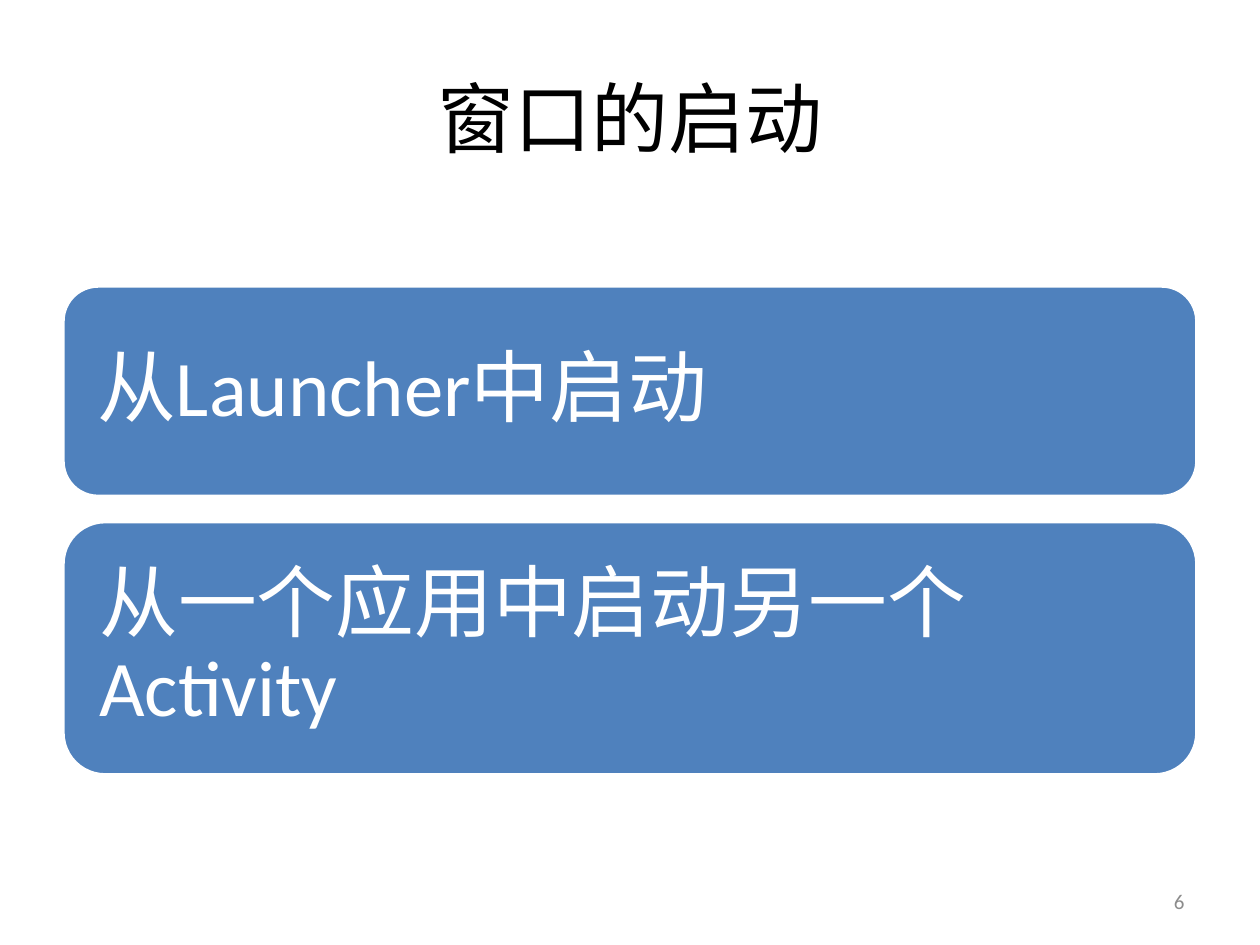
from pptx import Presentation
from pptx.dml.color import RGBColor
from pptx.enum.shapes import MSO_SHAPE
from pptx.enum.text import MSO_ANCHOR, PP_ALIGN
from pptx.util import Inches, Pt

ROUND = MSO_SHAPE.ROUNDED_RECTANGLE
MIDDLE = MSO_ANCHOR.MIDDLE
LEFT, CENTER, RIGHT = PP_ALIGN.LEFT, PP_ALIGN.CENTER, PP_ALIGN.RIGHT

HEX = {"ink": "000000", "blue": "4F81BD", "white": "FFFFFF", "gray": "8C8C8C"}
TITLE = "窗口的启动"
CARDS = [("从Launcher中启动", 1.67), ("从一个应用中启动另一个Activity", 2.01)]
PAGE = "6"
EDGE, WIDE, TOP, GAP, PAD = 0.5, 9, 2.27, 0.2, 0.19


def color(name):
    return RGBColor.from_string(HEX[name])


def place(shape, *box):
    for key, val in zip(("left", "top", "width", "height"), box):
        setattr(shape, key, Inches(val))


def write(shape, text, size, ink, align):
    frame = shape.text_frame
    frame.word_wrap = True
    frame.vertical_anchor = MIDDLE
    para = frame.paragraphs[0]
    para.alignment = align
    run = para.add_run()
    run.text = text
    style = {"name": "Calibri", "size": Pt(size)}
    for key, val in style.items():
        setattr(run.font, key, val)
    run.font.color.rgb = color(ink)
    return frame


deck = Presentation()
deck.slide_width, deck.slide_height = Inches(10), Inches(7.5)
slide = deck.slides.add_slide(deck.slide_layouts[5])
shapes = slide.shapes

place(shapes.title, EDGE, 0.3, WIDE, 1.25)
write(shapes.title, TITLE, 44, "ink", CENTER)

top = TOP
for text, high in CARDS:
    card = shapes.add_shape(
        ROUND, Inches(EDGE), Inches(top), Inches(WIDE), Inches(high))
    card.shadow.inherit = False
    card.fill.solid()
    card.fill.fore_color.rgb = color("blue")
    card.line.color.rgb = color("white")
    card.line.width = Pt(2)
    frame = write(card, text, 45, "white", LEFT)
    for side in ("left", "top", "right", "bottom"):
        setattr(frame, "margin_" + side, Inches(PAD))
    frame.paragraphs[0].line_spacing = 0.9
    top += high + GAP

page = shapes.add_textbox(Inches(7.17), Inches(6.95), Inches(2.33), Inches(0.4))
write(page, PAGE, 12, "gray", RIGHT)

deck.save("out.pptx")
